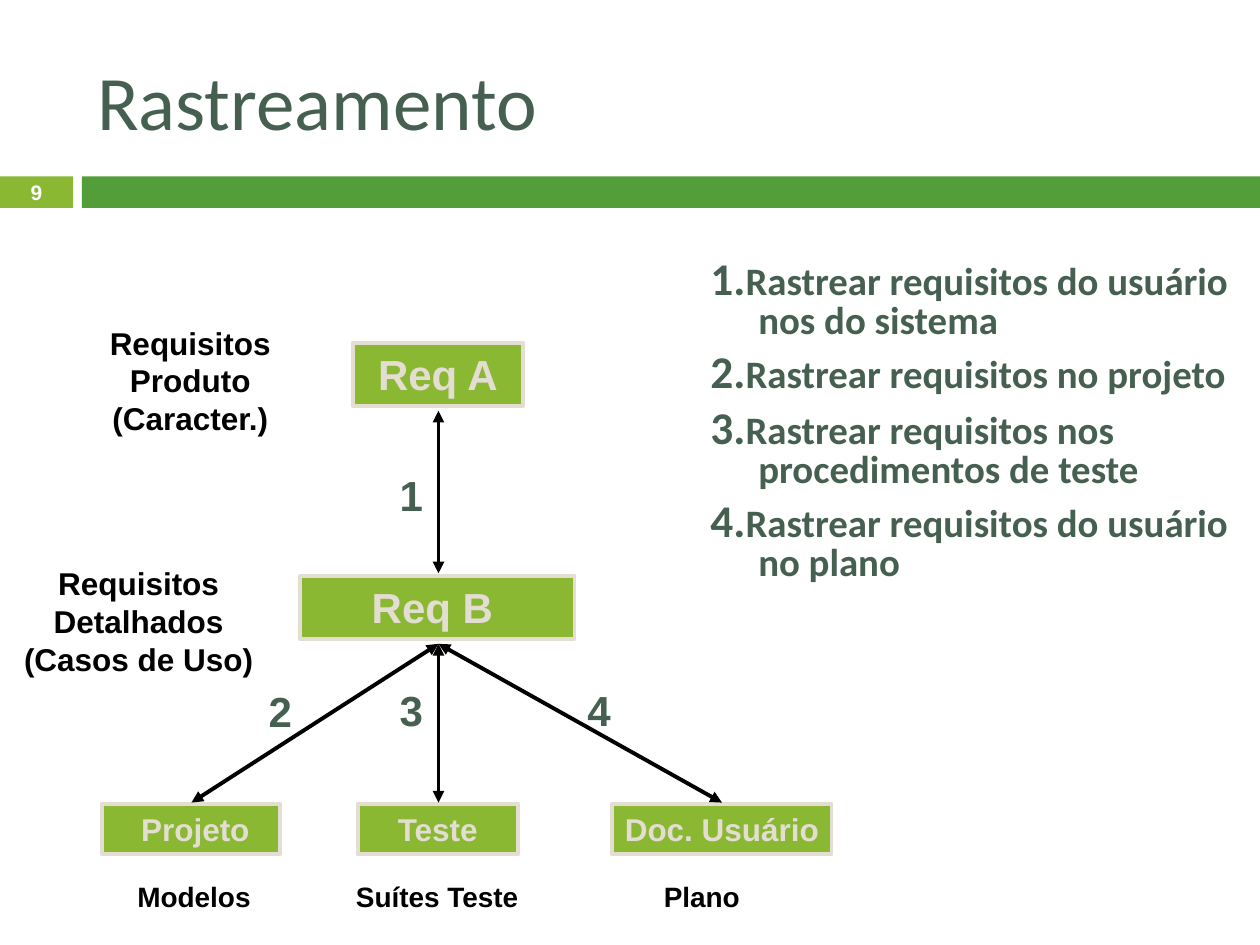
import pptx
import pptx.dml.color
import pptx.enum.shapes
import pptx.enum.text
import pptx.oxml.ns
import pptx.util
import lxml.etree

HUES = {"lime": "8AB833", "green": "549E39", "dark": "455F51",
        "sand": "E3DED1", "black": "000000", "white": "FFFFFF"}
COLS, ROWS = 100, 75
ALIGN = pptx.enum.text.PP_ALIGN
ANCHOR = pptx.enum.text.MSO_ANCHOR


def hue(name):
    return pptx.dml.color.RGBColor.from_string(HUES[name])


class Page:
    """Holds the slide and its style; lengths are grid columns and rows."""

    def __init__(self, deck):
        self.slide = deck.slides.add_slide(deck.slide_layouts[5])
        self.col = deck.slide_width / COLS
        self.row = deck.slide_height / ROWS

    def scale(self, x, y, w, h):
        return (round(x * self.col), round(y * self.row),
                round(w * self.col), round(h * self.row))

    def style(self, font, size, color, bold=True, face="Arial"):
        font.name, font.size, font.bold = face, pptx.util.Pt(size), bold
        font.color.rgb = hue(color)

    def letter(self, shape, text, size, color, pad=0, anchor=ANCHOR.TOP):
        """Set centred text, or left-aligned text when pad is given."""
        frame = shape.text_frame
        frame.word_wrap, frame.vertical_anchor = True, anchor
        frame.margin_left, frame.margin_right = round(pad * self.col), 0
        frame.text = text
        for para in frame.paragraphs:
            para.alignment = ALIGN.LEFT if pad else ALIGN.CENTER
            self.style(para.font, size, color)

    def title(self, text, *area):
        shape = self.slide.shapes.title
        shape.left, shape.top, shape.width, shape.height = self.scale(*area)
        shape.text_frame.text = text
        shape.text_frame.vertical_anchor = ANCHOR.MIDDLE
        para = shape.text_frame.paragraphs[0]
        para.alignment = ALIGN.LEFT
        self.style(para.font, 44, "dark", False, "Calibri")

    def block(self, fill, *area, edge=None):
        kind = pptx.enum.shapes.MSO_SHAPE.RECTANGLE
        shape = self.slide.shapes.add_shape(kind, *self.scale(*area))
        shape.shadow.inherit = False
        shape.fill.solid()
        shape.fill.fore_color.rgb = hue(fill)
        if edge:
            shape.line.color.rgb = hue(edge)
            shape.line.width = pptx.util.Pt(2.25)
        else:
            shape.line.fill.background()
        return shape

    def node(self, text, size, *area, pad=0):
        shape = self.block("lime", *area, edge="sand")
        self.letter(shape, text, size, "sand", pad)

    def label(self, text, size, color, *area):
        box = self.slide.shapes.add_textbox(*self.scale(*area))
        self.letter(box, text, size, color)

    def steps(self, items, *area):
        """Add a numbered list with hanging indents."""
        frame = self.slide.shapes.add_textbox(*self.scale(*area)).text_frame
        frame.word_wrap = True
        for num, item in enumerate(items, 1):
            para = frame.paragraphs[0] if num == 1 else frame.add_paragraph()
            para.line_spacing, para.space_before = 0.8, pptx.util.Pt(7)
            indent = round(3.8 * self.col)
            props = para._p.get_or_add_pPr()
            props.set("marL", str(indent))
            props.set("indent", str(-indent))
            for text, size in ((f"{num}.", 25.9), (item, 22.2)):
                run = para.add_run()
                run.text = text
                self.style(run.font, size, "dark", face="Calibri")

    def arrow(self, *ends):
        """Join two points with a line that has a head at each end."""
        kind = pptx.enum.shapes.MSO_CONNECTOR.STRAIGHT
        link = self.slide.shapes.add_connector(kind, *self.scale(*ends))
        link.line.color.rgb = hue("black")
        link.line.width = pptx.util.Pt(2.25)
        qn = pptx.oxml.ns.qn
        props = link._element.spPr
        for tag in ("a:headEnd", "a:tailEnd"):
            lxml.etree.SubElement(props.find(qn("a:ln")), qn(tag),
                                  type="triangle")
        lxml.etree.SubElement(props, qn("a:effectLst"))


def main():
    deck = pptx.Presentation()
    deck.slide_width = pptx.util.Inches(10)
    deck.slide_height = pptx.util.Inches(7.5)
    page = Page(deck)

    page.title("Rastreamento", 6.7, 2.5, 89.2, 10.8)
    tab = page.block("lime", 0, 14, 5.8, 2.5)
    page.letter(tab, "9", 12, "white", anchor=ANCHOR.MIDDLE)
    page.block("green", 6.5, 14, 93.5, 2.5)
    page.steps(["Rastrear requisitos do usuário nos do sistema",
                "Rastrear requisitos no projeto",
                "Rastrear requisitos nos procedimentos de teste",
                "Rastrear requisitos do usuário no plano"],
               55.4, 20.2, 43.4, 35.2)

    page.node("Req A", 24, 28, 27.2, 13.5, 5, pad=2)
    page.node("Req B", 24, 23.8, 45.7, 21.8, 5, pad=5.7)
    page.node("Projeto", 18, 8.1, 63.8, 14.1, 4, pad=3.1)
    page.node("Teste", 18, 28.4, 63.8, 12.7, 4)
    page.node("Doc. Usuário", 18, 48.6, 63.8, 17.4, 4)

    page.label("Requisitos\nProduto\n(Caracter.)", 18, "black",
               7.7, 25.2, 14.8, 10)
    page.label("Requisitos\nDetalhados\n(Casos de Uso)", 18, "black",
               0.9, 44.3, 20.2, 10)
    for text, x, w in (("Modelos", 4.4, 22), ("Suítes Teste", 26.6, 16.2),
                       ("Plano", 45.6, 20.2)):
        page.label(text, 16, "black", x, 69.3, w, 3.7)
    for text, x, y in (("1", 30.7, 36.8), ("2", 20.3, 53.9),
                       ("3", 30.7, 53.8), ("4", 45.6, 53.8)):
        page.label(text, 24, "dark", x, y, 3.9, 5)

    hub = 34.8
    page.arrow(hub, 32.6, hub, 45.5)
    for x in (15.2, hub, 57.3):
        page.arrow(hub, 51.1, x, 63.7)

    deck.save("out.pptx")


if __name__ == "__main__":
    main()
